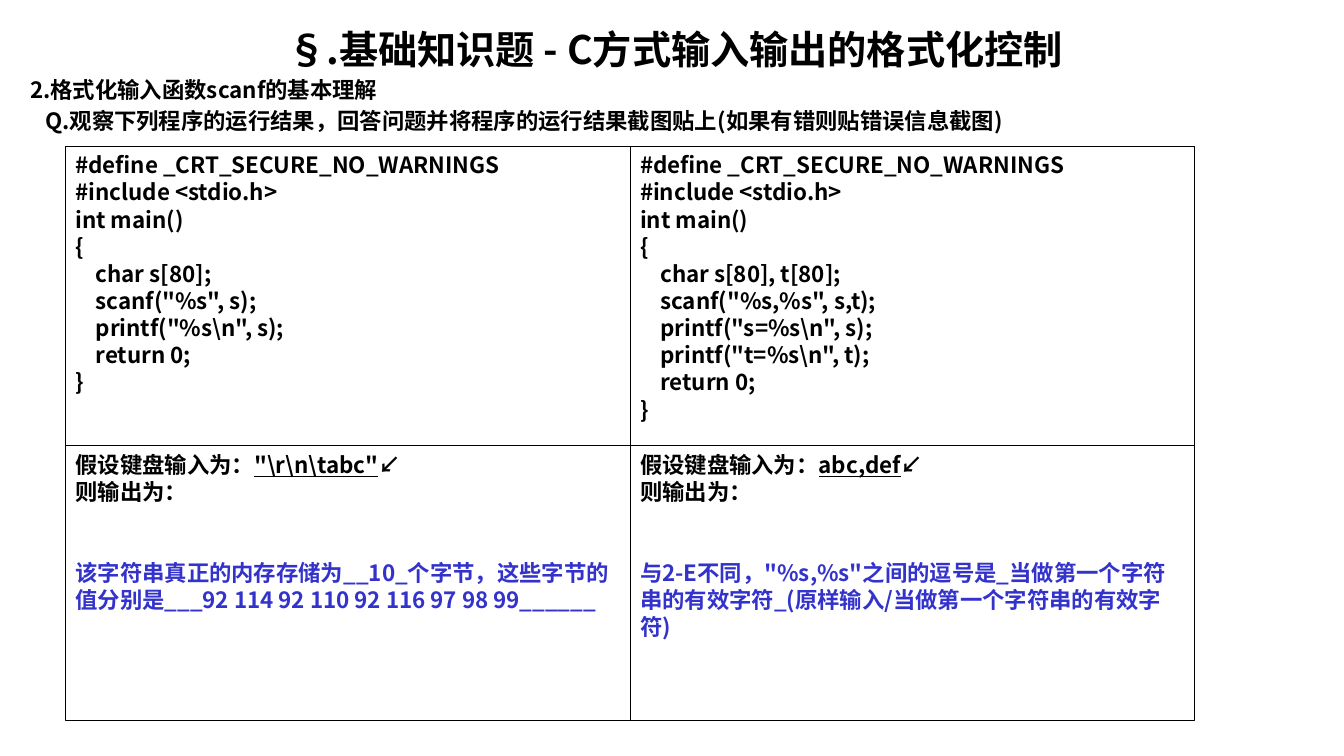
from dataclasses import dataclass

from lxml.etree import SubElement
from pptx import Presentation
from pptx.dml.color import RGBColor
from pptx.enum.shapes import MSO_SHAPE as Shape
from pptx.enum.text import MSO_ANCHOR as Anchor, MSO_AUTO_SIZE as AutoSize, PP_ALIGN as Align
from pptx.oxml.ns import qn
from pptx.slide import Slide
from pptx.text.text import TextFrame, _Paragraph as Paragraph
from pptx.util import Inches, Pt

BLACK = RGBColor(0x00, 0x00, 0x00)
BLUE = RGBColor(0x33, 0x33, 0xCC)
FONT = "Noto Sans CJK SC"
BODY_SIZE, TITLE_SIZE = 16, 28
LINE_RATIO = 1.21

# Grid of the exercise, in inches
GRID_LEFT, GRID_TOP = 0.65, 1.45
COLUMN_WIDTH = 5.6
ROW_HEIGHTS = (2.97, 2.73)
HEADING_LEFT, HEADING_WIDTH = 0.2, 12.99


@dataclass(frozen=True)
class Exercise:
    """One column: a program, its keyboard input and the answer."""
    code: str
    typed: str
    answer: str


EXERCISES = (
    Exercise(
        code=r'''#define _CRT_SECURE_NO_WARNINGS
#include <stdio.h>
int main()
{
    char s[80];
    scanf("%s", s);
    printf("%s\n", s);
    return 0;
}''',
        typed=r'"\r\n\tabc"',
        answer="该字符串真正的内存存储为__10_个字节，这些字节的值分别是"
               "___92 114 92 110 92 116 97 98 99______",
    ),
    Exercise(
        code=r'''#define _CRT_SECURE_NO_WARNINGS
#include <stdio.h>
int main()
{
    char s[80], t[80];
    scanf("%s,%s", s,t);
    printf("s=%s\n", s);
    printf("t=%s\n", t);
    return 0;
}''',
        typed="abc,def",
        answer='与2-E不同，"%s,%s"之间的逗号是_当做第一个字符串的有效字符_'
               "(原样输入/当做第一个字符串的有效字符)",
    ),
)


def prepare(frame: TextFrame) -> None:
    frame.word_wrap = True
    frame.auto_size = AutoSize.NONE
    frame.vertical_anchor = Anchor.TOP


def style(para: Paragraph, size: int = BODY_SIZE, color: RGBColor = BLACK,
          align: Align = Align.LEFT, before: float = 0) -> None:
    para.alignment = align
    para.line_spacing = Pt(round(size * LINE_RATIO, 1))
    para.space_before = Pt(before)
    font = para.font
    font.size, font.bold, font.name = Pt(size), True, FONT
    font.color.rgb = color
    # East Asian characters take the same font
    SubElement(font._element, qn("a:ea")).set("typeface", FONT)


def add_lines(frame: TextFrame, lines: list[str], before: float = 0) -> None:
    for index, line in enumerate(lines):
        para = frame.paragraphs[0] if index == 0 else frame.add_paragraph()
        para.add_run().text = line
        style(para, before=before if index else 0)


def add_cell(page: Slide, column: int, row: int) -> TextFrame:
    cell = page.shapes.add_shape(
        Shape.RECTANGLE,
        Inches(GRID_LEFT + column * COLUMN_WIDTH),
        Inches(GRID_TOP + sum(ROW_HEIGHTS[:row])),
        Inches(COLUMN_WIDTH), Inches(ROW_HEIGHTS[row]))
    cell.shadow.inherit = False
    cell.fill.background()
    cell.line.color.rgb = BLACK
    cell.line.width = Pt(0.75)
    prepare(cell.text_frame)
    return cell.text_frame


def add_headings(page: Slide) -> None:
    title = page.shapes.title
    title.left, title.top = Inches(HEADING_LEFT), Inches(0.2)
    title.width, title.height = Inches(HEADING_WIDTH), Inches(0.55)
    title.text_frame.text = "§.基础知识题 - C方式输入输出的格式化控制"
    prepare(title.text_frame)
    style(title.text_frame.paragraphs[0], TITLE_SIZE, align=Align.CENTER)

    box = page.shapes.add_textbox(Inches(HEADING_LEFT), Inches(0.7),
                                  Inches(HEADING_WIDTH), Inches(0.7))
    prepare(box.text_frame)
    add_lines(box.text_frame, [
        "2.格式化输入函数scanf的基本理解",
        "Q.观察下列程序的运行结果，回答问题并将程序的运行结果截图贴上"
        "(如果有错则贴错误信息截图)",
    ], before=0.2 * BODY_SIZE)
    question = box.text_frame.paragraphs[1]
    question._p.get_or_add_pPr().set("marL", str(Inches(0.15)))


def add_exercise(page: Slide, column: int, exercise: Exercise) -> None:
    # Program
    add_lines(add_cell(page, column, 0), exercise.code.splitlines())

    # Input, output and answer
    frame = add_cell(page, column, 1)
    add_lines(frame, ["假设键盘输入为：", "则输出为：", exercise.answer])
    prompt, _, answer = frame.paragraphs
    typed = prompt.add_run()
    typed.text = exercise.typed
    typed.font.underline = True
    prompt.add_run().text = "↙"
    answer.font.color.rgb = BLUE
    answer.space_before = Pt(round(2 * BODY_SIZE * LINE_RATIO, 1))


def main() -> None:
    deck = Presentation()
    deck.slide_width, deck.slide_height = Inches(13.33), Inches(7.5)
    page = deck.slides.add_slide(deck.slide_layouts[5])
    add_headings(page)
    for column, exercise in enumerate(EXERCISES):
        add_exercise(page, column, exercise)
    deck.save("out.pptx")


if __name__ == "__main__":
    main()
